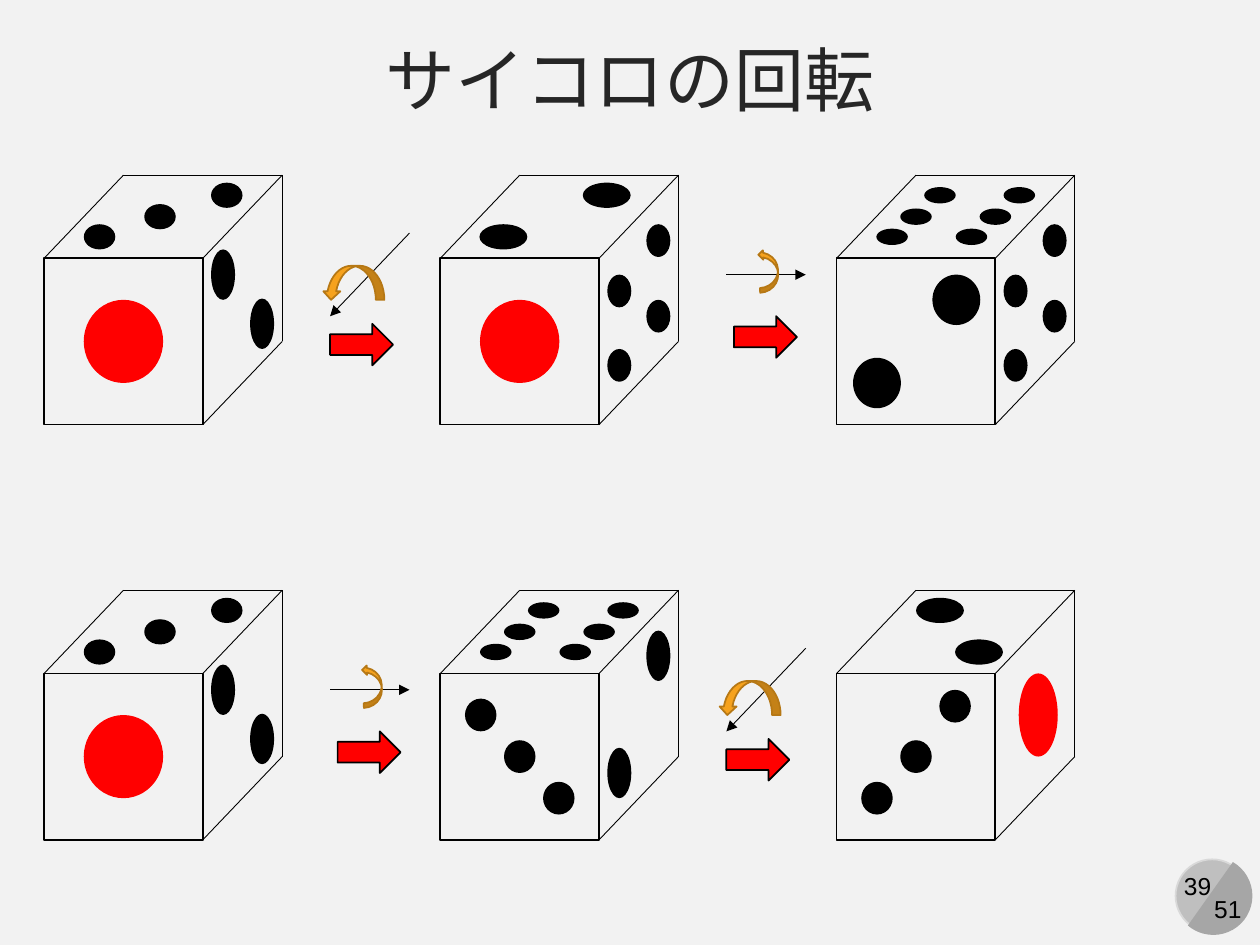
from dataclasses import dataclass

from lxml import etree
from pptx import Presentation
from pptx.dml.color import RGBColor as RGB
from pptx.enum.shapes import MSO_CONNECTOR as LINK, MSO_SHAPE as FORM
from pptx.enum.text import MSO_ANCHOR as ANCHOR, PP_ALIGN as ALIGN
from pptx.oxml.ns import qn
from pptx.util import Inches, Pt


@dataclass(frozen=True)
class Theme:
    """Colours, font and sizes of the slide."""
    paper: str = "F2F2F2"
    ink: str = "000000"
    title: str = "262626"
    red: str = "FF0000"
    gold: str = "F6A21D"
    bronze: str = "B67815"
    disc: str = "BFBFBF"
    rim: str = "D9D9D9"
    shade: str = "A6A6A6"
    font: str = "Arial"
    big: int = 40
    small: int = 14
    thick: float = 1
    thin: float = 0.5


T = Theme()
DIE_W, DIE_H = 1.89, 1.98
FACE_W, FACE_H = 1.26, 1.32
LEFT, TOP = 0.35, 1.39
STEP_X, STEP_Y = 3.145, 3.295
TURN_X = 2.27

SIX_TOP = [(x + shift, y) for shift in (0, 0.63)
           for x, y in ((0.82, 0.16), (0.63, 0.33), (0.44, 0.49))]
FOUR_SIDE = [(1.42, 0.92), (1.42, 1.51), (1.73, 0.52), (1.73, 1.12)]

ONE = ("red", 0.63, 0.66, [(0.63, 1.32)])
TOP_TWO = ("ink", 0.38, 0.2, [(0.5, 0.49), (1.32, 0.16)])
TOP_SIX = ("ink", 0.25, 0.13, SIX_TOP)
SIDE_FOUR = ("ink", 0.19, 0.26, FOUR_SIDE)
START = [
    ONE,
    ("ink", 0.25, 0.2, [(0.44, 0.49), (0.92, 0.33), (1.45, 0.16)]),
    ("ink", 0.19, 0.4, [(1.42, 0.79), (1.73, 1.18)]),
]
ROWS = [
    ([START,
      [ONE, TOP_TWO, SIDE_FOUR],
      [("ink", 0.38, 0.4, [(0.32, 1.65), (0.95, 0.99)]), TOP_SIX, SIDE_FOUR]],
     ["roll", "tip"]),
    ([START,
      [("ink", 0.25, 0.26, [(0.32, 0.99), (0.63, 1.32), (0.94, 1.65)]),
       TOP_SIX,
       ("ink", 0.19, 0.4, [(1.42, 1.45), (1.73, 0.52)])],
      [("ink", 0.25, 0.26, [(0.32, 1.65), (0.63, 1.32), (0.94, 0.92)]),
       ("ink", 0.38, 0.2, [(0.82, 0.16), (1.13, 0.49)]),
       ("red", 0.31, 0.66, [(1.6, 0.99)])]],
     ["tip", "roll"]),
]
TURNS = {
    "roll": dict(axis=(0.63, 0.46, 0, 1.12), curl=(0.05, 0.61, 0.27, 0.49),
                 angle=90, next=(0, 1.18)),
    "tip": dict(axis=(0, 0.79, 0.63, 0.79), curl=(0.26, 0.59, 0.15, 0.34),
                angle=177.2, next=(0.06, 1.12)),
}


def add_form(slide, form, x, y, w, h, fill=None, line=None, turn=0):
    """Add a preset shape with a plain fill and outline."""
    shape = slide.shapes.add_shape(form, *map(Inches, (x, y, w, h)))
    shape.shadow.inherit = False
    shape.rotation = turn
    if fill:
        shape.fill.solid()
        shape.fill.fore_color.rgb = RGB.from_string(fill)
    else:
        shape.fill.background()
    if line:
        shape.line.color.rgb = RGB.from_string(line)
        shape.line.width = Pt(T.thick)
    else:
        shape.line.fill.background()
    return shape


def add_line(slide, x1, y1, x2, y2, head=False):
    """Add a thin line, with an arrowhead at its end if asked."""
    line = slide.shapes.add_connector(
        LINK.STRAIGHT, *map(Inches, (x1, y1, x2, y2)))
    line.line.color.rgb = RGB.from_string(T.ink)
    line.line.width = Pt(T.thin)
    if head:
        etree.SubElement(line.line._get_or_add_ln(), qn("a:tailEnd"),
                         type="triangle")
    etree.SubElement(line._element.spPr, qn("a:effectLst"))


def add_text(slide, text, x, y, w, h, size, color, wrap=True):
    """Add one centred line of text."""
    frame = slide.shapes.add_textbox(*map(Inches, (x, y, w, h))).text_frame
    frame.word_wrap = wrap
    frame.vertical_anchor = ANCHOR.MIDDLE
    para = frame.paragraphs[0]
    para.text = text
    para.alignment = ALIGN.CENTER
    para.font.name = T.font
    para.font.size = Pt(size)
    para.font.color.rgb = RGB.from_string(color)


def add_die(slide, x, y, pips):
    """Draw a die whose box starts at x, y, with its groups of pips."""
    right, base = x + DIE_W, y + DIE_H
    back, low = x + DIE_W - FACE_W, y + DIE_H - FACE_H
    edge, deep = x + FACE_W, y + FACE_H
    add_form(slide, FORM.RECTANGLE, x, low, FACE_W, FACE_H, line=T.ink)
    for ends in ((right, y, right, deep), (right, y, back, y),
                 (back, y, x, low), (right, y, edge, low),
                 (right, deep, edge, base)):
        add_line(slide, *ends)
    for color, w, h, spots in pips:
        for dx, dy in spots:
            add_form(slide, FORM.OVAL, x + dx - w / 2, y + dy - h / 2, w, h,
                     getattr(T, color))


def add_turn(slide, x, y, kind):
    """Draw an axis, its curl and the red arrow to the next die."""
    turn = TURNS[kind]
    x1, y1, x2, y2 = turn["axis"]
    add_line(slide, x + x1, y + y1, x + x2, y + y2, head=True)
    dx, dy, w, h = turn["curl"]
    add_form(slide, FORM.CURVED_RIGHT_ARROW, x + dx, y + dy, w, h,
             T.gold, T.bronze, turn["angle"])
    dx, dy = turn["next"]
    add_form(slide, FORM.RIGHT_ARROW, x + dx, y + dy, 0.5, 0.33, T.red, T.ink)


def add_row(slide, x, y, dice, turns):
    """Lay out a row of dice with the turns between them."""
    for i, pips in enumerate(dice):
        add_die(slide, x + i * STEP_X, y, pips)
    for i, kind in enumerate(turns):
        add_turn(slide, x + TURN_X + i * STEP_X, y, kind)


def add_badge(slide, x, y, page, total):
    """Draw the round page badge in the box at x, y."""
    add_form(slide, FORM.OVAL, x + 0.04, y + 0.02, 0.58, 0.58, T.disc, T.rim)
    chord = add_form(slide, FORM.CHORD, x + 0.03, y, 0.62, 0.62, T.shade,
                     turn=255)
    chord.adjustments[0] = 27
    chord.adjustments[1] = 141.42
    for text, dx, dy in ((page, 0, 0.06), (total, 0.24, 0.24)):
        add_text(slide, text, x + dx, y + dy, 0.43, 0.34, T.small, T.ink,
                 wrap=False)


def main():
    """Build the slide and save it."""
    deck = Presentation()
    deck.slide_width, deck.slide_height = Inches(10), Inches(7.5)
    slide = deck.slides.add_slide(deck.slide_layouts[6])
    slide.background.fill.solid()
    slide.background.fill.fore_color.rgb = RGB.from_string(T.paper)
    add_badge(slide, 9.29, 6.8, "39", "51")
    add_text(slide, "サイコロの回転", 0, 0.21, 10, 0.82, T.big, T.title)
    for i, (dice, turns) in enumerate(ROWS):
        add_row(slide, LEFT, TOP + i * STEP_Y, dice, turns)
    deck.save("out.pptx")


if __name__ == "__main__":
    main()
